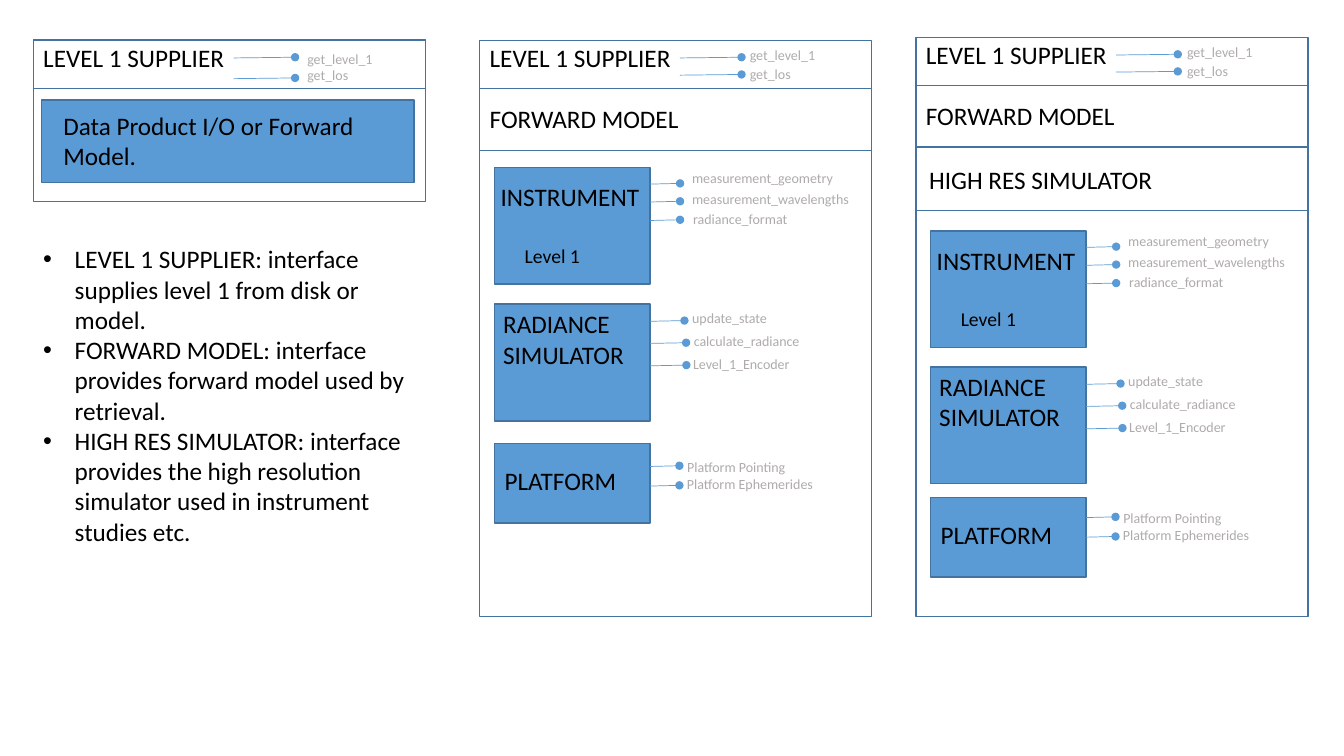
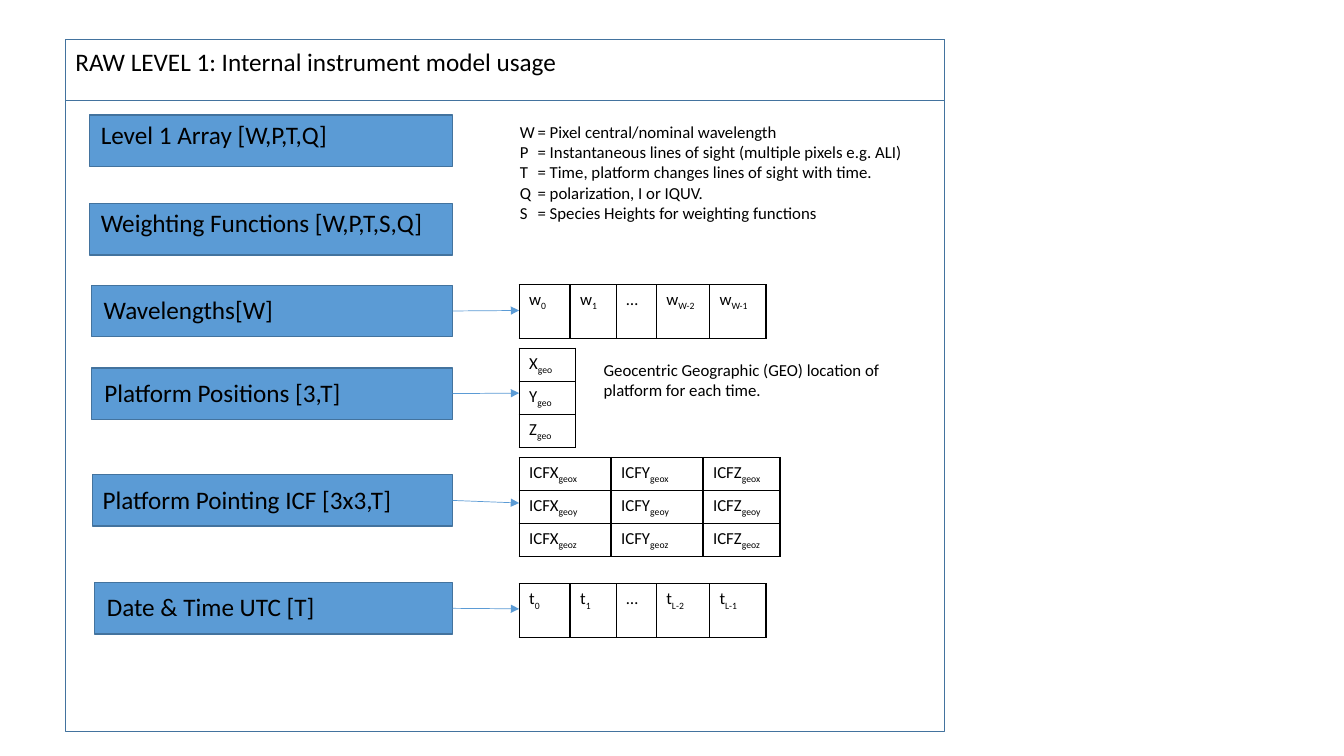
"""Builds two slides on the Level 1 supplier and its raw data model."""
from pptx import Presentation
from pptx.dml.color import RGBColor
from pptx.enum.shapes import MSO_CONNECTOR, MSO_SHAPE
from pptx.enum.text import MSO_ANCHOR, PP_ALIGN
from pptx.oxml.ns import qn
from pptx.util import Pt
from lxml.etree import SubElement

HUES = {"fill": "5B9BD5", "edge": "43739E", "text": "000000", "port": "AFABAB"}
FONT = "Calibri"


def block(page, spot, words="", size=18, hue="text", fill=None, edge=True, pad=(7.2, 3.6)):
    area = [Pt(n) for n in spot]
    if edge:
        item = page.shapes.add_shape(MSO_SHAPE.RECTANGLE, *area)
        item.shadow.inherit = False
        item.line.color.rgb = RGBColor.from_string(HUES["edge"])
        item.line.width = Pt(1)
        if fill:
            item.fill.solid()
            item.fill.fore_color.rgb = RGBColor.from_string(HUES[fill])
        else:
            item.fill.background()
    else:
        item = page.shapes.add_textbox(*area)
    frame = item.text_frame
    frame.word_wrap = True
    frame.vertical_anchor = MSO_ANCHOR.TOP
    frame.margin_left, frame.margin_top = Pt(pad[0]), Pt(pad[1])
    frame.margin_right = frame.margin_bottom = 0
    frame.text = words
    for para in frame.paragraphs:
        para.alignment = PP_ALIGN.LEFT
        for run in para.runs:
            run.font.name, run.font.size = FONT, Pt(size)
            run.font.color.rgb = RGBColor.from_string(HUES[hue])
    return item


def wire(page, start, end, tip):
    link = page.shapes.add_connector(MSO_CONNECTOR.STRAIGHT, *[Pt(n) for n in start + end])
    link.line.color.rgb = RGBColor.from_string(HUES["fill"])
    link.line.width = Pt(0.5)
    props = link.element.spPr
    SubElement(props.find(qn("a:ln")), qn("a:tailEnd"), type=tip)
    SubElement(props, qn("a:effectLst"))
    return link


deck = Presentation()
deck.slide_width, deck.slide_height = Pt(960), Pt(540)
page = deck.slides.add_slide(deck.slide_layouts[6])

WIDE = 280
PANELS = [
    (23.8, 28.8, 115.2, (41.4, 56.2), 188.6, (32.4, 43.9)),
    (342.7, 28.8, 411.8, (41.4, 53.7), 185.8, (29.5, 43.2)),
    (654.3, 26.6, 414, (39.3, 51.5), 186.5, (27.4, 41)),
]
for left, top, tall, rows, shift, tops in PANELS:
    block(page, (left, top, WIDE, tall), "LEVEL 1 SUPPLIER", pad=(7.2, 1.4))
    for name, row, high in zip(("get_level_1", "get_los"), rows, tops):
        wire(page, (left + 143, row), (left + 187, row - 0.5), "oval")
        block(page, (left + shift, high, 87, 19.4), name, 10, "port", edge=False)

block(page, (23.8, 28.1, WIDE, 35.3))
block(page, (29.5, 71.3, 266.4, 59), "Data Product I/O or Forward Model.", fill="fill", pad=(15.8, 7.2))
for left, top in ((342.7, 63.4), (654.3, 61.2)):
    block(page, (left, top, WIDE, 43.9), "FORWARD MODEL", pad=(7.2, 10.1))
block(page, (654.3, 105.1, WIDE, 45.4), "HIGH RES SIMULATOR", pad=(9.4, 12.2))

CARDS = [
    ("INSTRUMENT", 83.5, (4.3, 10.1), [
        ("measurement_geometry", 12, 132.5, 134, -2.2),
        ("measurement_wavelengths", 24.8, 132.5, 134, 13),
        ("radiance_format", 38, 132.5, 134.7, 27.4)]),
    ("RADIANCE\nSIMULATOR", 83.5, (6.1, 3.2), [
        ("update_state", 12.2, 135.6, 134, 0),
        ("calculate_radiance", 28, 136.8, 135.2, 16.6),
        ("Level_1_Encoder", 44, 137, 134.7, 33.3)]),
    ("PLATFORM", 56.9, (7.2, 15.8), [
        ("Platform Pointing", 16.4, 132, 130.5, 7.2),
        ("Platform Ephemerides", 30.4, 132, 130.3, 19.4)]),
]
STACKS = [
    (353.3, [(119.5, 119.5), (217.3, 217.3), (316.8, 316.8)]),
    (664.8, [(164.9, 164.7), (262.1, 262.3), (355.2, 353.3)]),
]
for left, tops in STACKS:
    for (name, tall, pad, ports), (top, base) in zip(CARDS, tops):
        block(page, (left, top, 111, tall), name, fill="fill", pad=pad)
        for port, row, end, shift, high in ports:
            wire(page, (left + 111, base + row), (left + end, base + row - 0.5), "oval")
            block(page, (left + shift, base + high, 128, 19.4), port, 10, "port", edge=False)
    block(page, (left + 14.4, tops[0][0] + 51.1, 96.5, 24.5), "Level 1", 14, edge=False)

NOTES = "\n".join([
    "LEVEL 1 SUPPLIER: interface supplies level 1 from disk or model.",
    "FORWARD MODEL: interface provides forward model used by retrieval.",
    "HIGH RES SIMULATOR: interface provides the high resolution simulator used in instrument studies etc.",
])
notes = block(page, (23.8, 170.6, WIDE, 225.4), NOTES, edge=False)
for para in notes.text_frame.paragraphs:
    props = para._p.get_or_add_pPr()
    props.set("marL", str(Pt(22.5)))
    props.set("indent", str(Pt(-22.5)))
    SubElement(props, qn("a:buFont"), typeface="Arial")
    SubElement(props, qn("a:buChar"), char="•")

page = deck.slides.add_slide(deck.slide_layouts[6])
block(page, (46.8, 28.1, 627.8, 494.6))
block(page, (46.8, 28.1, 627.8, 43.9), "RAW LEVEL 1: Internal instrument model usage", pad=(7.2, 5))

EDGE = 323.3
FIELDS = [
    ("Level 1 Array [W,P,T,Q]", 64.1, 82.1, (7.9, 2.9), None),
    ("Weighting Functions [W,P,T,S,Q]", 64.1, 145.4, (7.9, 2.9), None),
    ("Wavelengths[W]", 65.5, 203.8, (8.6, 6.5), 221.8),
    ("Platform Positions [3,T]", 65.5, 262.8, (9, 6.5), 280.8),
    ("Platform Pointing ICF [3x3,T]", 66.2, 339.1, (7.2, 6.5), 359.3),
    ("Date & Time UTC [T]", 67.7, 416.2, (8.6, 6.5), 434.9),
]
for name, left, top, pad, goal in FIELDS:
    field = block(page, (left, top, EDGE - left, 36.7), name, fill="fill", pad=pad)
    if goal:
        link = wire(page, (EDGE, top + 18.35), (370.8, goal), "triangle")
        link.begin_connect(field, 3)

SLIM = [36.4, 33, 28.6, 38, 40.4]
GRIDS = [
    (203.3, 38.4, SLIM, [["w_0", "w_1", "…", "w_W-2", "w_W-1"]]),
    (248.8, 23.6, [40.2], [[axis + "_geo"] for axis in "XYZ"]),
    (326.8, 23.6, [65.7, 65.7, 55], [[f"ICF{axis}_geo{part}" for axis in "XYZ"] for part in "xyz"]),
    (417, 38.4, SLIM, [["t_0", "t_1", "…", "t_L-2", "t_L-1"]]),
]
for top, tall, cols, rows in GRIDS:
    shape = page.shapes.add_table(
        len(rows), len(cols), Pt(370.8), Pt(top), Pt(sum(cols)), Pt(tall * len(rows)))
    grid = shape.table
    grid.first_row = grid.horz_banding = False
    for col, wide in zip(grid.columns, cols):
        col.width = Pt(wide)
    for i, row in enumerate(rows):
        grid.rows[i].height = Pt(tall)
        for j, words in enumerate(row):
            cell = grid.cell(i, j)
            props = cell._tc.get_or_add_tcPr()
            for side in ("lnL", "lnR", "lnT", "lnB"):
                line = SubElement(props, qn("a:" + side), w=str(Pt(1)))
                SubElement(SubElement(line, qn("a:solidFill")), qn("a:srgbClr"), val=HUES["text"])
            cell.fill.background()
            para = cell.text_frame.paragraphs[0]
            for k, part in enumerate(words.split("_")):
                run = para.add_run()
                run.text = part
                run.font.name, run.font.size = FONT, Pt(12)
                run.font.color.rgb = RGBColor.from_string(HUES["text"])
                if k:
                    run.font._element.set("baseline", "-25000")

KEYS = "\n".join([
    "W\t= Pixel central/nominal wavelength",
    "P\t= Instantaneous lines of sight (multiple pixels e.g. ALI)",
    "T\t= Time, platform changes lines of sight with time.",
    "Q\t= polarization, I or IQUV.",
    "S\t= Species Heights for weighting functions",
])
keys = block(page, (364.3, 83.5, 293.8, 80), KEYS, 12, edge=False)
for para in keys.text_frame.paragraphs:
    tabs = SubElement(para._p.get_or_add_pPr(), qn("a:tabLst"))
    SubElement(tabs, qn("a:tab"), pos=str(Pt(12.6)), algn="l")
block(page, (424.1, 253.6, 234, 36), "Geocentric Geographic (GEO) location of platform for each time.", 12, edge=False)

deck.save("out.pptx")
